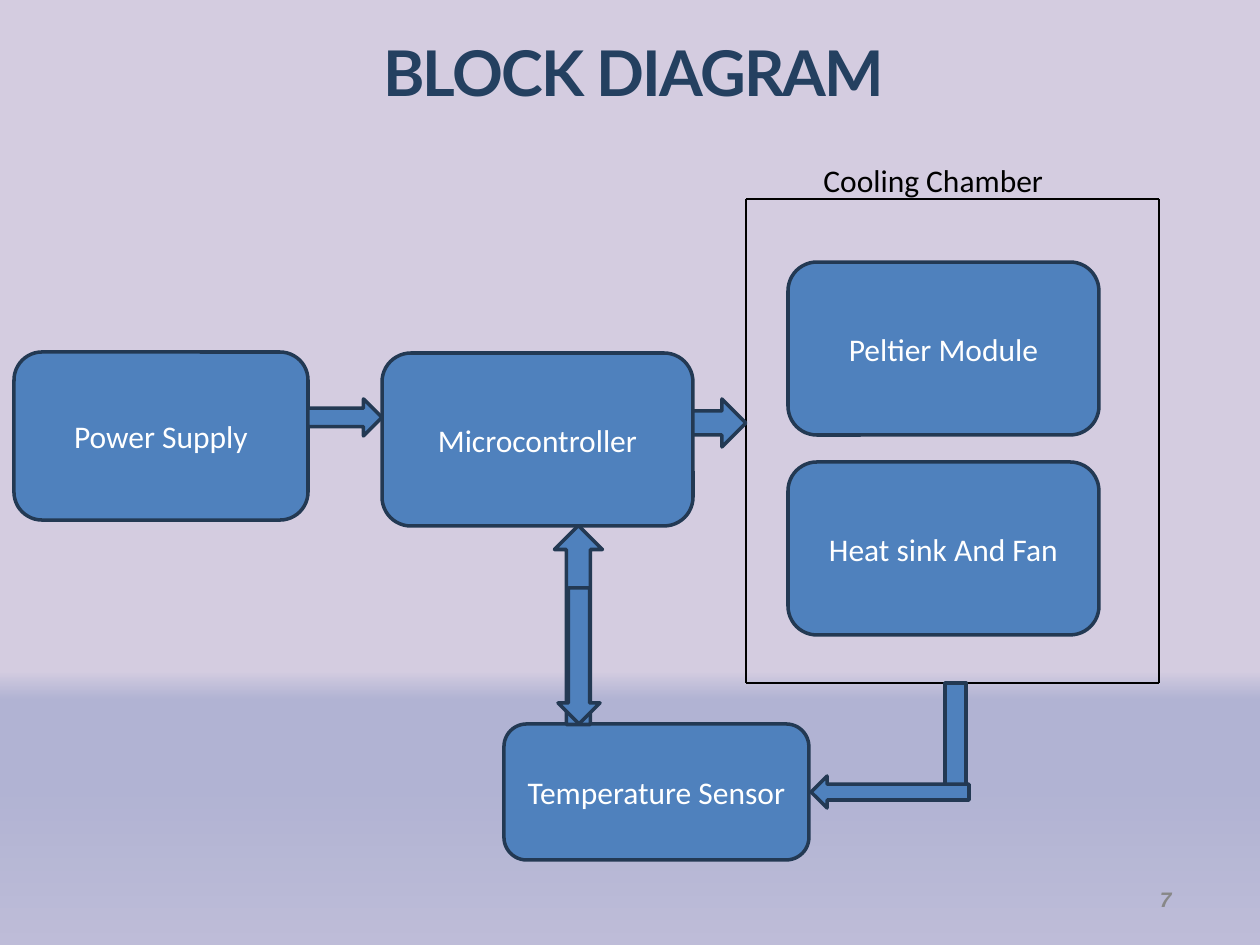
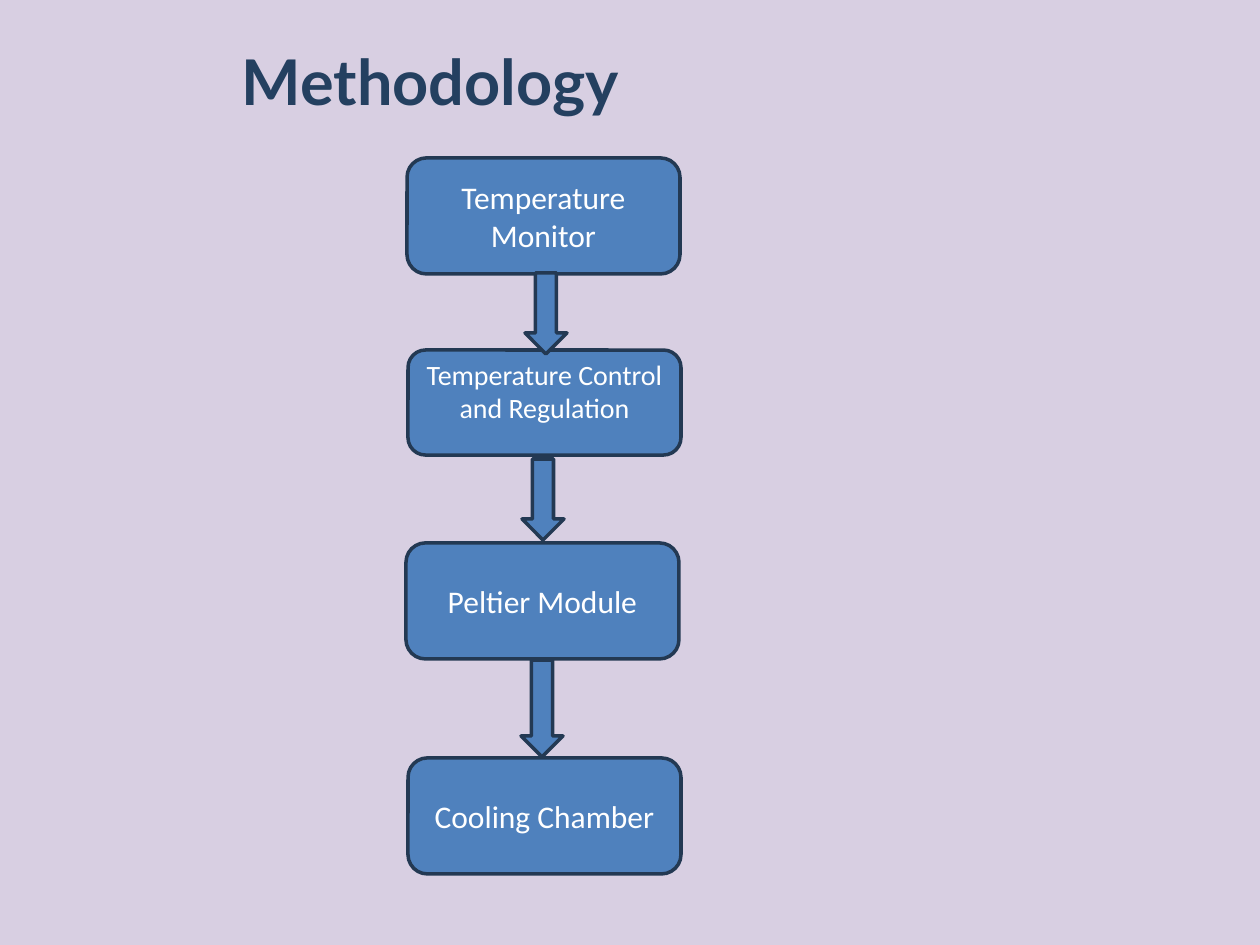
from dataclasses import dataclass
from itertools import pairwise

from lxml.etree import SubElement
from pptx import Presentation
from pptx.dml.color import RGBColor
from pptx.enum.shapes import MSO_CONNECTOR, MSO_SHAPE
from pptx.enum.text import MSO_ANCHOR, MSO_AUTO_SIZE, PP_ALIGN
from pptx.oxml.ns import qn
from pptx.util import Emu, Pt

PX_PER_INCH = 126
WIDTH, HEIGHT = 1260, 945


@dataclass(frozen=True)
class Theme:
    title: str = "244060"
    block: str = "4F81BD"
    outline: str = "233953"
    block_text: str = "FFFFFF"
    ink: str = "000000"
    page_number: str = "888888"
    tint: str = "B3A1C6"
    tint_alpha: int = 50
    plain: str = "FFFFFF"
    horizon: tuple = ((71, "F6F9FC"), (74, "B0C6E1"), (83, "B0C6E1"), (100, "CAD9EB"))
    title_font: str = "Lato"
    body_font: str = "Calibri"
    number_font: str = "Arial"
    title_size: int = 36
    body_size: int = 18
    small_size: int = 16
    number_size: int = 12
    outline_width: float = 2
    frame_width: float = 0.75


THEME = Theme()


def px(length):
    return Emu(round(length * 914400 / PX_PER_INCH))


def rgb(color):
    return RGBColor.from_string(color)


def set_font(paragraph, name, size, color, bold=None, italic=None):
    font = paragraph.font
    font.name, font.size, font.bold, font.italic = name, Pt(size), bold, italic
    font.color.rgb = rgb(color)


def clear_insets(frame, top=0):
    frame.margin_left = frame.margin_right = frame.margin_bottom = 0
    frame.margin_top = px(top)


def set_horizon(slide):
    """Fill the background with a vertical gradient of several stops."""
    fill = slide.background.fill
    fill.gradient()
    fill.gradient_angle = 270
    stops = next(slide.element.iter(qn("a:gsLst")))
    for stop in list(stops):
        stops.remove(stop)
    for percent, color in THEME.horizon:
        stop = SubElement(stops, qn("a:gs"), pos=str(percent * 1000))
        SubElement(stop, qn("a:srgbClr"), val=color)


def add_tint(slide):
    """Lay a translucent sheet over the background, behind everything else."""
    sheet = slide.shapes.add_shape(MSO_SHAPE.RECTANGLE, 0, 0, px(WIDTH), px(HEIGHT))
    sheet.shadow.inherit = False
    sheet.line.fill.background()
    sheet.fill.solid()
    sheet.fill.fore_color.rgb = rgb(THEME.tint)
    color = next(sheet.element.iter(qn("a:srgbClr")))
    SubElement(color, qn("a:alpha"), val=str(THEME.tint_alpha * 1000))
    slide.shapes.element.insert(2, sheet.element)


def add_slide(presentation, title, left, top, width, height, tracking=0, space_before=0):
    slide = presentation.slides.add_slide(presentation.slide_layouts[5])
    add_tint(slide)
    heading = slide.shapes.title
    heading.left, heading.top, heading.width, heading.height = map(px, (left, top, width, height))
    frame = heading.text_frame
    frame.text = title
    frame.word_wrap = True
    frame.auto_size = MSO_AUTO_SIZE.NONE
    frame.vertical_anchor = MSO_ANCHOR.TOP
    clear_insets(frame)
    paragraph = frame.paragraphs[0]
    paragraph.alignment = PP_ALIGN.LEFT
    paragraph.space_before = Pt(space_before)
    set_font(paragraph, THEME.title_font, THEME.title_size, THEME.title, bold=True)
    if tracking:
        paragraph.runs[0].font._element.set("spc", str(tracking))
    return slide


def add_solid(slide, kind, left, top, width, height, rotation=0):
    shape = slide.shapes.add_shape(kind, *map(px, (left, top, width, height)))
    shape.rotation = rotation
    shape.shadow.inherit = False
    shape.fill.solid()
    shape.fill.fore_color.rgb = rgb(THEME.block)
    shape.line.color.rgb = rgb(THEME.outline)
    shape.line.width = Pt(THEME.outline_width)
    return shape


def add_block(slide, text, left, top, width, height, size=THEME.body_size):
    block = add_solid(slide, MSO_SHAPE.ROUNDED_RECTANGLE, left, top, width, height)
    frame = block.text_frame
    frame.text = text
    frame.word_wrap = True
    frame.vertical_anchor = MSO_ANCHOR.MIDDLE
    paragraph = frame.paragraphs[0]
    paragraph.alignment = PP_ALIGN.CENTER
    set_font(paragraph, THEME.body_font, size, THEME.block_text)
    return block


def add_frame(slide, left, top, right, bottom):
    corners = [(left, top), (right, top), (right, bottom), (left, bottom), (left, top)]
    for start, end in pairwise(corners):
        side = slide.shapes.add_connector(MSO_CONNECTOR.STRAIGHT, *map(px, start + end))
        side.line.color.rgb = rgb(THEME.ink)
        side.line.width = Pt(THEME.frame_width)
        SubElement(side.element.spPr, qn("a:effectLst"))


def add_label(slide, text, left, top, width, height):
    label = slide.shapes.add_textbox(*map(px, (left, top, width, height)))
    label.text_frame.text = text
    label.text_frame.word_wrap = False
    set_font(label.text_frame.paragraphs[0], THEME.body_font, THEME.body_size, THEME.ink)


def add_page_number(slide, number):
    box = slide.shapes.add_textbox(*map(px, (1160, 886, 26, 28)))
    frame = box.text_frame
    frame.text = str(number)
    frame.word_wrap = True
    clear_insets(frame, top=1)
    paragraph = frame.paragraphs[0]
    paragraph.space_before = Pt(1)
    set_font(paragraph, THEME.number_font, THEME.number_size, THEME.page_number,
             bold=True, italic=True)


def build_block_diagram(presentation):
    slide = add_slide(presentation, "BLOCK DIAGRAM", 383, 34, 528, 79,
                      tracking=-100, space_before=1)
    set_horizon(slide)
    add_page_number(slide, 7)

    add_block(slide, "Power Supply", 14, 352, 294, 168)
    for text, left, top in (
        ("Microcontroller", 382, 353),
        ("Peltier Module", 788, 262),
        ("Heat sink And Fan", 788, 462),
    ):
        add_block(slide, text, left, top, 311, 173)
    add_block(slide, "Temperature Sensor", 504, 724, 305, 136)

    add_frame(slide, 746, 199, 1159, 683)
    add_solid(slide, MSO_SHAPE.RIGHT_ARROW, 308, 399, 74, 37)
    add_solid(slide, MSO_SHAPE.RIGHT_ARROW, 693, 399, 53, 48)
    add_solid(slide, MSO_SHAPE.RECTANGLE, 945, 683, 21, 116)
    add_solid(slide, MSO_SHAPE.RIGHT_ARROW, 811, 776, 158, 32, rotation=180)
    add_solid(slide, MSO_SHAPE.RIGHT_ARROW, 479, 601, 199, 48, rotation=270)
    add_solid(slide, MSO_SHAPE.DOWN_ARROW, 558, 588, 42, 136)
    add_label(slide, "Cooling Chamber", 811, 155, 248, 50)


def build_methodology(presentation):
    slide = add_slide(presentation, "Methodology", 242, 42, 604, 79)
    slide.background.fill.solid()
    slide.background.fill.fore_color.rgb = rgb(THEME.plain)

    for text, left, top in (
        ("Temperature Monitor", 407, 158),
        ("Peltier Module", 406, 543),
        ("Cooling Chamber", 408, 758),
    ):
        add_block(slide, text, left, top, 273, 116)
    regulation = add_block(slide, "Temperature Control and Regulation",
                           408, 350, 273, 105, THEME.small_size)
    regulation.text_frame.vertical_anchor = MSO_ANCHOR.TOP
    regulation.text_frame.margin_top = px(2)

    for left, top, height in ((525, 273, 81), (522, 459, 81), (521, 660, 97)):
        add_solid(slide, MSO_SHAPE.DOWN_ARROW, left, top, 42, height)


def main():
    presentation = Presentation()
    presentation.slide_width, presentation.slide_height = px(WIDTH), px(HEIGHT)
    build_block_diagram(presentation)
    build_methodology(presentation)
    presentation.save("out.pptx")


if __name__ == "__main__":
    main()
